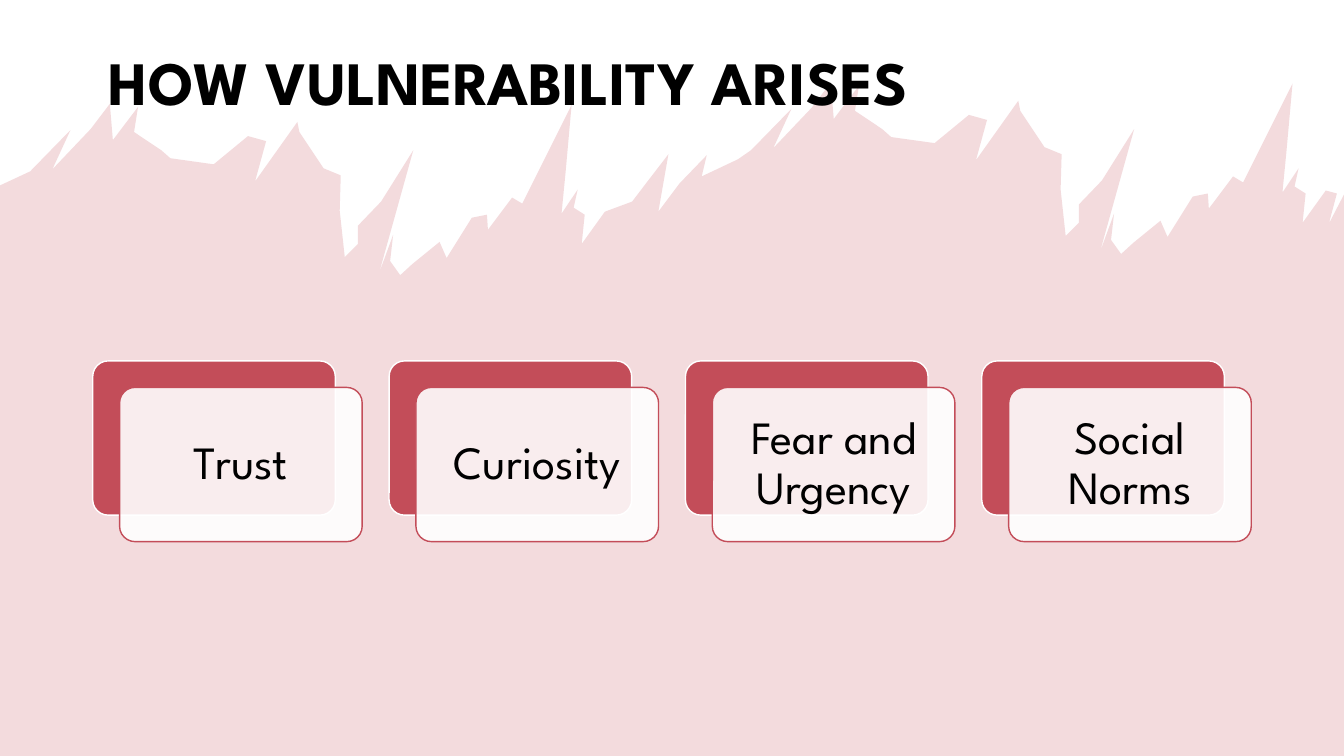
from dataclasses import dataclass

from lxml import etree
from pptx import Presentation
from pptx.dml.color import RGBColor
from pptx.enum.shapes import MSO_SHAPE
from pptx.enum.text import MSO_ANCHOR, MSO_AUTO_SIZE, PP_ALIGN
from pptx.oxml.ns import qn
from pptx.util import Inches, Pt

ROUNDED = MSO_SHAPE.ROUNDED_RECTANGLE
MIDDLE = MSO_ANCHOR.MIDDLE
LEFT, CENTER = PP_ALIGN.LEFT, PP_ALIGN.CENTER
NO_AUTOFIT = MSO_AUTO_SIZE.NONE


@dataclass(frozen=True)
class Theme:
    font: str = "League Spartan"
    accent: str = "C34D59"
    paper: str = "FFFFFF"
    ink: str = "000000"
    title_size: int = 44
    card_size: int = 33
    line_width: int = 1
    line_spacing: float = 0.9
    corner: float = 0.1
    wave_opacity: int = 20
    card_opacity: int = 90


TITLE = "HOW VULNERABILITY ARISES"
CARDS = ("Trust", "Curiosity", "Fear and Urgency", "Social Norms")

HUNDREDTH = Inches(0.01)
REPEAT_SHIFT = (715, -21)
WAVE_CREST = (
    (30, 170), (70, 129), (52, 168), (90, 128), (109, 103), (112, 139), (137, 106),
    (133, 131), (160, 149), (169, 157), (212, 163), (246, 135), (264, 140), (253, 180),
    (295, 121), (297, 131), (321, 167), (338, 174), (337, 209), (342, 255), (355, 242),
    (355, 224), (378, 200), (410, 149), (376, 271), (390, 233), (387, 259), (397, 273),
    (409, 262), (436, 240), (443, 256), (468, 216), (483, 213), (484, 228), (508, 196),
    (518, 202), (567, 104), (561, 171), (557, 212), (573, 188), (569, 206), (580, 213),
    (577, 242), (600, 210),
)
WAVE_BRIDGE = (
    (627, 200), (643, 179), (663, 153), (653, 210), (674, 182), (701, 154), (696, 175),
    (732, 158),
)
WAVE_TAIL = ((1326, 192), (1318, 222), (1333, 193))


def write_text(frame, text, *, font, size, color, bold=False, align=LEFT,
               spacing=1.0, insets=(0.1, 0.05, 0.1, 0.05)):
    frame.word_wrap = True
    frame.auto_size = NO_AUTOFIT
    frame.vertical_anchor = MIDDLE
    frame.margin_left, frame.margin_top, frame.margin_right, frame.margin_bottom = map(Inches, insets)
    paragraph = frame.paragraphs[0]
    paragraph.alignment = align
    paragraph.line_spacing = spacing
    run = paragraph.add_run()
    run.text = text
    run.font.name = font
    run.font.size = Pt(size)
    run.font.bold = bold
    run.font.color.rgb = RGBColor.from_string(color)


class SlideBuilder:
    def __init__(self, presentation, theme):
        self.theme = theme
        self.width = presentation.slide_width
        self.height = presentation.slide_height
        self.slide = presentation.slides.add_slide(presentation.slide_layouts[5])
        background = self.slide.background.fill
        background.solid()
        background.fore_color.rgb = RGBColor.from_string(theme.paper)

    def place(self, left, top, width, height):
        return (round(self.width * left / 100), round(self.height * top / 100),
                round(self.width * width / 100), round(self.height * height / 100))

    def paint(self, shape, color, opacity=100, line=None):
        shape.shadow.inherit = False
        shape.fill.solid()
        shape.fill.fore_color.rgb = RGBColor.from_string(color)
        if opacity < 100:
            color_node = shape._element.spPr.find(qn("a:solidFill"))[0]
            etree.SubElement(color_node, qn("a:alpha"), val=str(opacity * 1000))
        if line:
            shape.line.color.rgb = RGBColor.from_string(line)
            shape.line.width = Pt(self.theme.line_width)
        else:
            shape.line.fill.background()

    def wave(self):
        shift_x, shift_y = REPEAT_SHIFT
        repeated = tuple((x + shift_x, y + shift_y) for x, y in WAVE_CREST)
        edge = WAVE_CREST + WAVE_BRIDGE + repeated + WAVE_TAIL
        points = [(x * HUNDREDTH, y * HUNDREDTH) for x, y in edge]
        points += [(self.width, self.height), (0, self.height)]
        builder = self.slide.shapes.build_freeform(0, Inches(1.84))
        builder.add_line_segments(points, close=True)
        self.paint(builder.convert_to_shape(), self.theme.accent, self.theme.wave_opacity)

    def title(self, text, *box):
        theme = self.theme
        title = self.slide.shapes.title
        title.left, title.top, title.width, title.height = self.place(*box)
        self.slide.shapes._spTree.append(title._element)
        write_text(title.text_frame, text, font=theme.font, size=theme.title_size,
                   color=theme.ink, bold=True, spacing=theme.line_spacing,
                   insets=(0.16, 0.05, 0.1, 0.6))

    def panel(self, box, color, line, opacity=100):
        shape = self.slide.shapes.add_shape(ROUNDED, *self.place(*box))
        shape.adjustments[0] = self.theme.corner
        self.paint(shape, color, opacity, line)
        return shape

    def card(self, text, left, top, width, height, offset=(2, 3.5)):
        theme = self.theme
        self.panel((left, top, width, height), theme.accent, theme.paper)
        front = self.panel((left + offset[0], top + offset[1], width, height),
                           theme.paper, theme.accent, theme.card_opacity)
        write_text(front.text_frame, text, font=theme.font, size=theme.card_size,
                   color=theme.ink, align=CENTER, spacing=theme.line_spacing,
                   insets=(0.18, 0.18, 0.18, 0.18))


def main():
    presentation = Presentation()
    presentation.slide_width = Inches(13.33)
    presentation.slide_height = Inches(7.5)
    builder = SlideBuilder(presentation, Theme())
    builder.wave()
    builder.title(TITLE, 6.9, 5.33, 86.25, 19.33)
    for column, text in enumerate(CARDS):
        builder.card(text, 6.9 + 22.05 * column, 47.75, 18.05, 20.4)
    presentation.save("out.pptx")


if __name__ == "__main__":
    main()
